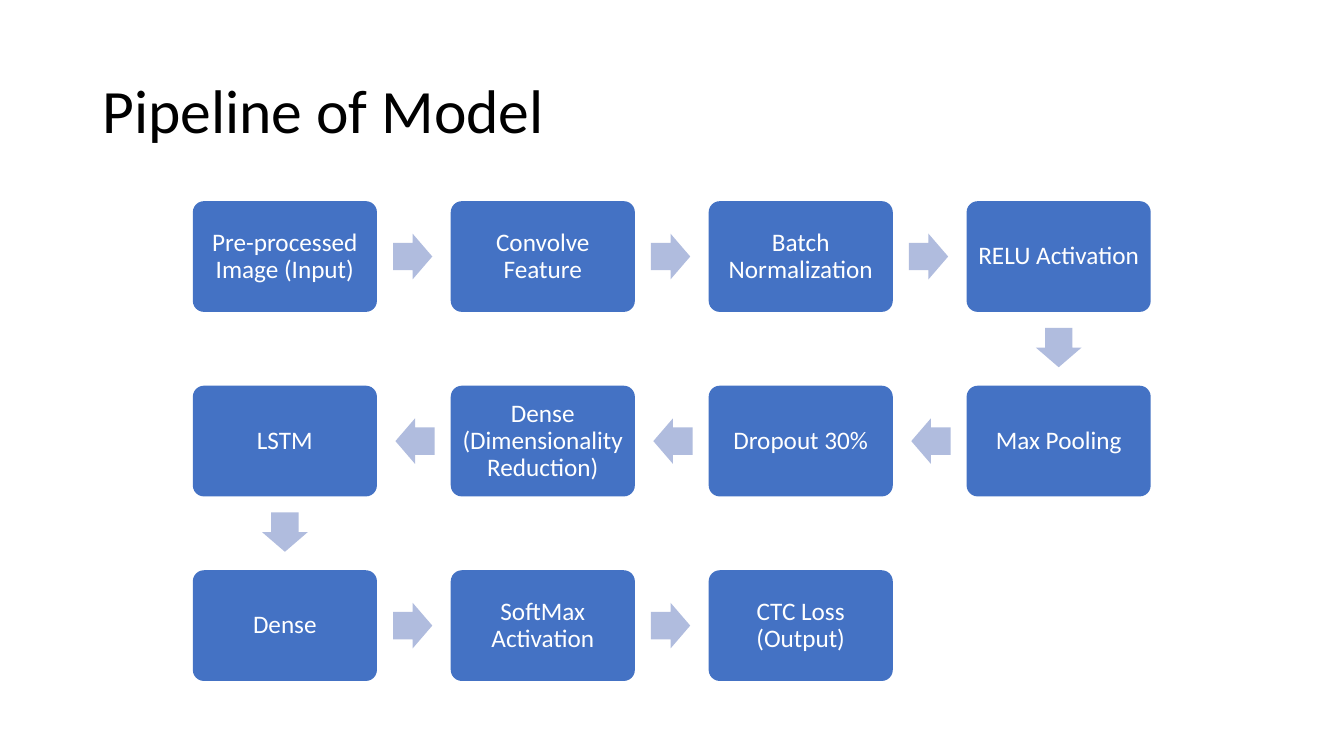
from dataclasses import dataclass
from itertools import pairwise
from pptx import Presentation
from pptx.dml.color import RGBColor
from pptx.enum.shapes import MSO_SHAPE
from pptx.enum.text import MSO_ANCHOR, PP_ALIGN
from pptx.util import Cm, Pt


@dataclass(frozen=True)
class Theme:
    font: str = "Calibri"
    ink: str = "000000"
    paper: str = "FFFFFF"
    box: str = "4472C4"
    arrow: str = "B0BCDE"
    title: int = 44
    label: int = 18


THEME = Theme()
STEPS = [
    "Pre-processed Image (Input)", "Convolve Feature",
    "Batch Normalization", "RELU Activation",
    "Max Pooling", "Dropout 30%",
    "Dense (Dimensionality Reduction)", "LSTM",
    "Dense", "SoftMax Activation", "CTC Loss (Output)",
]
COLS = 4
LEFT, TOP = 4.86, 5.07
WIDE, HIGH = 4.64, 2.79
STEP_X, STEP_Y = 6.5, 4.65
LONG, THICK = 0.99, 1.15
BACK = 0.03
INSET = 0.16


def write(shape, text, size, color, align):
    frame = shape.text_frame
    frame.word_wrap = True
    frame.vertical_anchor = MSO_ANCHOR.MIDDLE
    frame.text = text
    para = frame.paragraphs[0]
    para.alignment = align
    para.line_spacing = 0.9
    para.font.name = THEME.font
    para.font.size = Pt(size)
    para.font.color.rgb = RGBColor.from_string(color)
    return frame


def add_solid(slide, kind, center, size, color):
    (x, y), (w, h) = center, size
    shape = slide.shapes.add_shape(
        kind, Cm(x - w / 2), Cm(y - h / 2), Cm(w), Cm(h))
    shape.shadow.inherit = False
    shape.fill.solid()
    shape.fill.fore_color.rgb = RGBColor.from_string(color)
    shape.line.fill.background()
    return shape


def add_title(slide, text):
    box = slide.shapes.add_textbox(Cm(2.33), Cm(1.01), Cm(29.21), Cm(3.68))
    write(box, text, THEME.title, THEME.ink, PP_ALIGN.LEFT)


def add_step(slide, text, center):
    box = add_solid(slide, MSO_SHAPE.ROUNDED_RECTANGLE, center,
                    (WIDE, HIGH), THEME.box)
    box.adjustments[0] = 0.1
    frame = write(box, text, THEME.label, THEME.paper, PP_ALIGN.CENTER)
    frame.margin_left = frame.margin_right = Cm(INSET)
    frame.margin_top = frame.margin_bottom = Cm(INSET)


def add_arrow(slide, start, end):
    (x1, y1), (x2, y2) = start, end
    dx = (x2 > x1) - (x2 < x1)
    dy = (y2 > y1) - (y2 < y1)
    center = (x1 + x2) / 2 - BACK * dx, (y1 + y2) / 2 - BACK * dy
    arrow = add_solid(slide, MSO_SHAPE.RIGHT_ARROW, center,
                      (LONG, THICK), THEME.arrow)
    arrow.adjustments[0] = 0.6
    arrow.adjustments[1] = 0.5
    arrow.rotation = 90 if dy else 90 * (1 - dx)


def find_spot(index):
    row, col = divmod(index, COLS)
    if row % 2:
        col = COLS - 1 - col
    return LEFT + WIDE / 2 + col * STEP_X, TOP + HIGH / 2 + row * STEP_Y


def main():
    deck = Presentation()
    deck.slide_width, deck.slide_height = Cm(33.87), Cm(19.05)
    slide = deck.slides.add_slide(deck.slide_layouts[6])
    add_title(slide, "Pipeline of Model")
    spots = [find_spot(i) for i in range(len(STEPS))]
    for text, spot in zip(STEPS, spots):
        add_step(slide, text, spot)
    for start, end in pairwise(spots):
        add_arrow(slide, start, end)
    deck.save("out.pptx")


main()
